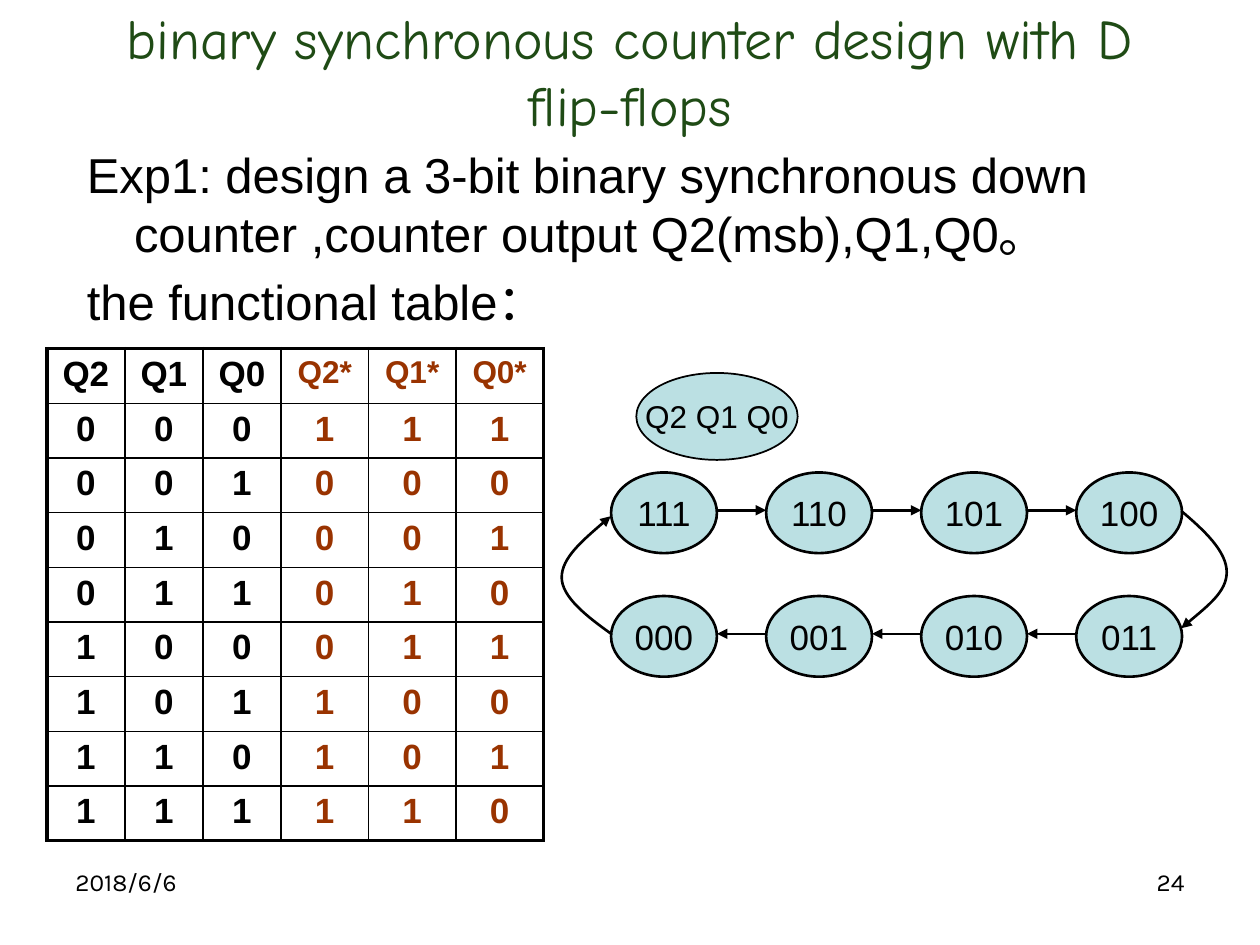
from lxml import etree
from pptx import Presentation, util as u
from pptx.dml.color import RGBColor
from pptx.enum import shapes as sh, text as tx
from pptx.oxml.ns import qn

Pt = u.Pt
BLACK, GREEN, BROWN, PALE = "000000", "1F4B15", "993300", "BBE0E3"
MID = tx.PP_ALIGN.CENTER

# State diagram grid
LEFT, STEP, WIDE, HIGH = 349.2, 88.6, 60.5, 46.1
TOP, LOW, DROP = 270, 340.6, 21.6


def color(code):
    return RGBColor.from_string(code)


def style(para, size, face="Arial", code=BLACK, align=None, bold=False):
    para.alignment = align
    for run in para.runs:
        font = run.font
        font.size, font.name, font.bold = Pt(size), face, bold
        font.color.rgb = color(code)


def add_text(slide, box, lines, size, face="Arial", align=None, hang=0):
    frame = slide.shapes.add_textbox(*map(Pt, box)).text_frame
    frame.word_wrap = True
    frame.text = "\n".join(lines)
    for i, para in enumerate(frame.paragraphs):
        if hang:
            props = para._p.get_or_add_pPr()
            props.set("marL", str(Pt(hang)))
            props.set("indent", str(-Pt(hang)))
        if i:
            para.space_before = Pt(size * 0.2)
        style(para, size, face, align=align)


def add_title(slide, words):
    title = slide.shapes.title
    title.left, title.top, title.width, title.height = map(Pt, (36, 15, 648, 51))
    frame = title.text_frame
    frame.text = words
    frame.word_wrap = True
    frame.auto_size = tx.MSO_AUTO_SIZE.NONE
    frame.vertical_anchor = tx.MSO_ANCHOR.MIDDLE
    style(frame.paragraphs[0], 32, "Comic Neue", GREEN, MID)


def add_edge(cell, side, width):
    edge = etree.SubElement(cell._tc.get_or_add_tcPr(), qn("a:ln" + side),
                            w=str(Pt(width)))
    fill = etree.SubElement(edge, qn("a:solidFill"))
    etree.SubElement(fill, qn("a:srgbClr"), val=BLACK)


def add_table(slide, rows):
    last, end = len(rows) - 1, len(rows[0]) - 1
    table = slide.shapes.add_table(last + 1, end + 1, Pt(26.8), Pt(199.2),
                                   Pt(283.8), Pt(266.4)).table
    table.first_row = table.horz_banding = False
    for c, col in enumerate(table.columns):
        col.width = Pt(44.6 if c < 3 else 50)
    for r, row in enumerate(rows):
        table.rows[r].height = Pt(29.6)
        for c, word in enumerate(row):
            cell = table.cell(r, c)
            cell.text = word
            style(cell.text_frame.paragraphs[0], 18 if r == 0 and c > 2 else 20,
                  code=BROWN if c > 2 else BLACK, align=MID, bold=True)
            # Heavy outer frame, thin inner grid
            outer = {"L": c == 0, "R": c == end, "T": r == 0, "B": r == last}
            for side, heavy in outer.items():
                add_edge(cell, side, 2.25 if heavy else 1)
            cell.fill.background()


def add_oval(slide, box, words, size, width):
    oval = slide.shapes.add_shape(sh.MSO_SHAPE.OVAL, *map(Pt, box))
    oval.shadow.inherit = False
    oval.fill.solid()
    oval.fill.fore_color.rgb = color(PALE)
    oval.line.color.rgb = color(BLACK)
    oval.line.width = Pt(width)
    frame = oval.text_frame
    frame.text = words
    frame.word_wrap = False
    frame.vertical_anchor = tx.MSO_ANCHOR.MIDDLE
    style(frame.paragraphs[0], size, align=MID)


def add_tip(item):
    item.line.color.rgb = color(BLACK)
    item.line.width = Pt(1.5)
    etree.SubElement(item.line._get_or_add_ln(), qn("a:tailEnd"), type="triangle")


def add_arrow(slide, start, stop, y):
    arrow = slide.shapes.add_connector(sh.MSO_CONNECTOR.STRAIGHT,
                                       Pt(start), Pt(y), Pt(stop), Pt(y))
    add_tip(arrow)
    etree.SubElement(arrow._element.spPr, qn("a:effectLst"))


def add_curve(slide, points):
    """Draw a chain of cubic curves: a start, then three points for each."""
    build = slide.shapes.build_freeform(*points[0], scale=Pt(1))
    build.add_line_segments(points[1:], close=False)
    curve = build.convert_to_shape()
    # Turn each three straight segments into one cubic curve
    legs = list(curve._element.iter(qn("a:lnTo")))
    for i in range(0, len(legs), 3):
        legs[i].tag = qn("a:cubicBezTo")
        for leg in legs[i + 1:i + 3]:
            legs[i].append(leg[0])
            leg.getparent().remove(leg)
    curve.shadow.inherit = False
    curve.fill.background()
    add_tip(curve)


def add_states(slide):
    xs = [LEFT + i * STEP for i in range(4)]
    for i, x in enumerate(xs):
        add_oval(slide, (x, TOP, WIDE, HIGH), f"{7 - i:03b}", 20, 1.5)
        add_oval(slide, (x, LOW, WIDE, HIGH), f"{i:03b}", 20, 1.5)
    # Right along the top row, left along the bottom row
    for x, after in zip(xs, xs[1:]):
        add_arrow(slide, x + WIDE, after, TOP + DROP)
        add_arrow(slide, after, x + WIDE, LOW + DROP)
    # Wrap from 000 to 111, and from 100 to 011
    add_curve(slide, [(349.2, 362.2), (334.8, 352.1), (321.1, 341.3), (321.1, 330.5),
                      (321.1, 319), (334.8, 306.7), (349.2, 295.2)])
    add_curve(slide, [(675.4, 291.6), (687.6, 303.1), (700.6, 315.4), (700.6, 326.9),
                      (700.6, 337.7), (687.6, 348.5), (675.4, 358.6)])


def main():
    deck = Presentation()
    deck.slide_width, deck.slide_height = Pt(720), Pt(540)
    slide = deck.slides.add_slide(deck.slide_layouts[5])

    # Heading and task
    add_title(slide, "binary synchronous counter design with D flip-flops")
    add_text(slide, (42.5, 79, 646.6, 405),
             ["Exp1: design a 3-bit binary synchronous down counter ,"
              "counter output Q2(msb),Q1,Q0。", "the functional table："],
             28, hang=27)

    # Function table: each state and the one below it
    rows = [["Q2", "Q1", "Q0", "Q2*", "Q1*", "Q0*"]]
    rows += [list(f"{n:03b}{(n - 1) % 8:03b}") for n in range(8)]
    add_table(slide, rows)

    # State diagram and its key
    add_states(slide)
    add_oval(slide, (363.6, 213.1, 92.2, 49.7), "Q2 Q1 Q0", 18, 1)

    # Footer
    add_text(slide, (36, 491.8, 168, 37.4), ["2018/6/6"], 14, "Karla")
    add_text(slide, (516, 491.8, 168, 37.4), ["24"], 14, "Karla", tx.PP_ALIGN.RIGHT)
    deck.save("out.pptx")


if __name__ == "__main__":
    main()
